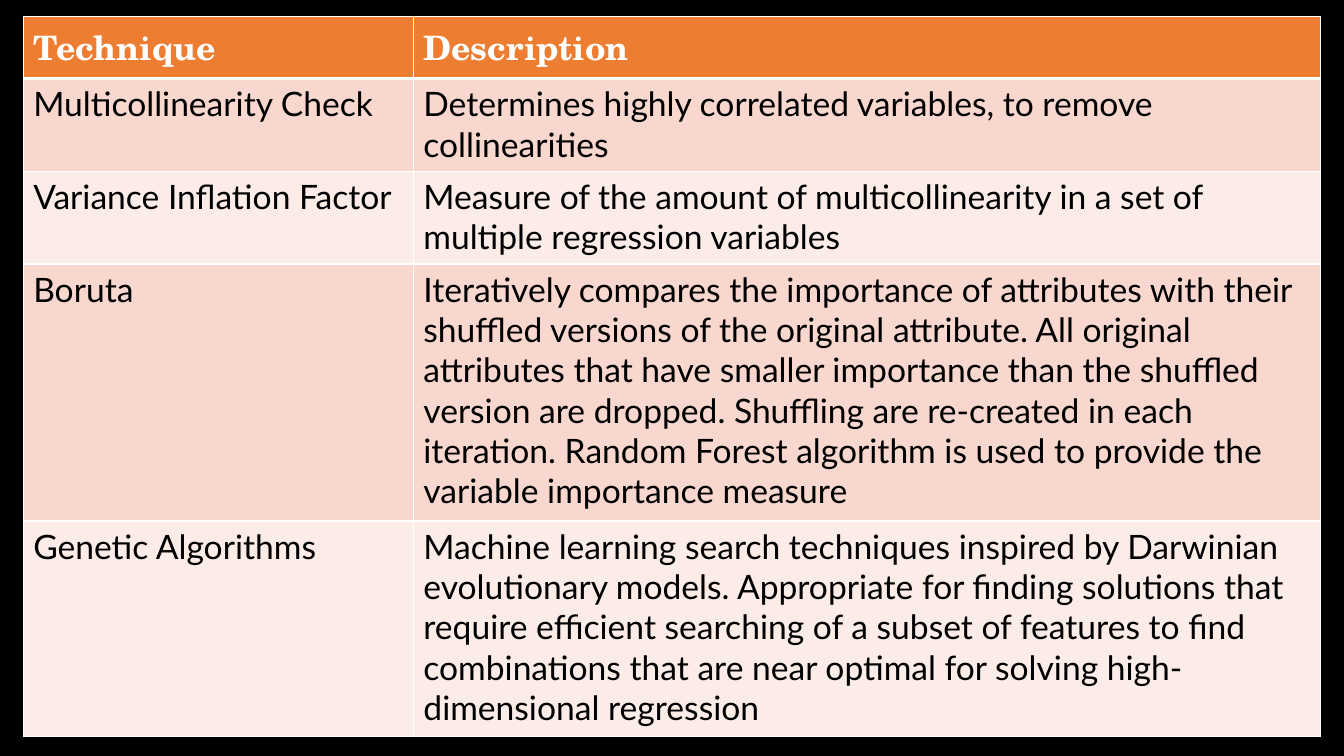
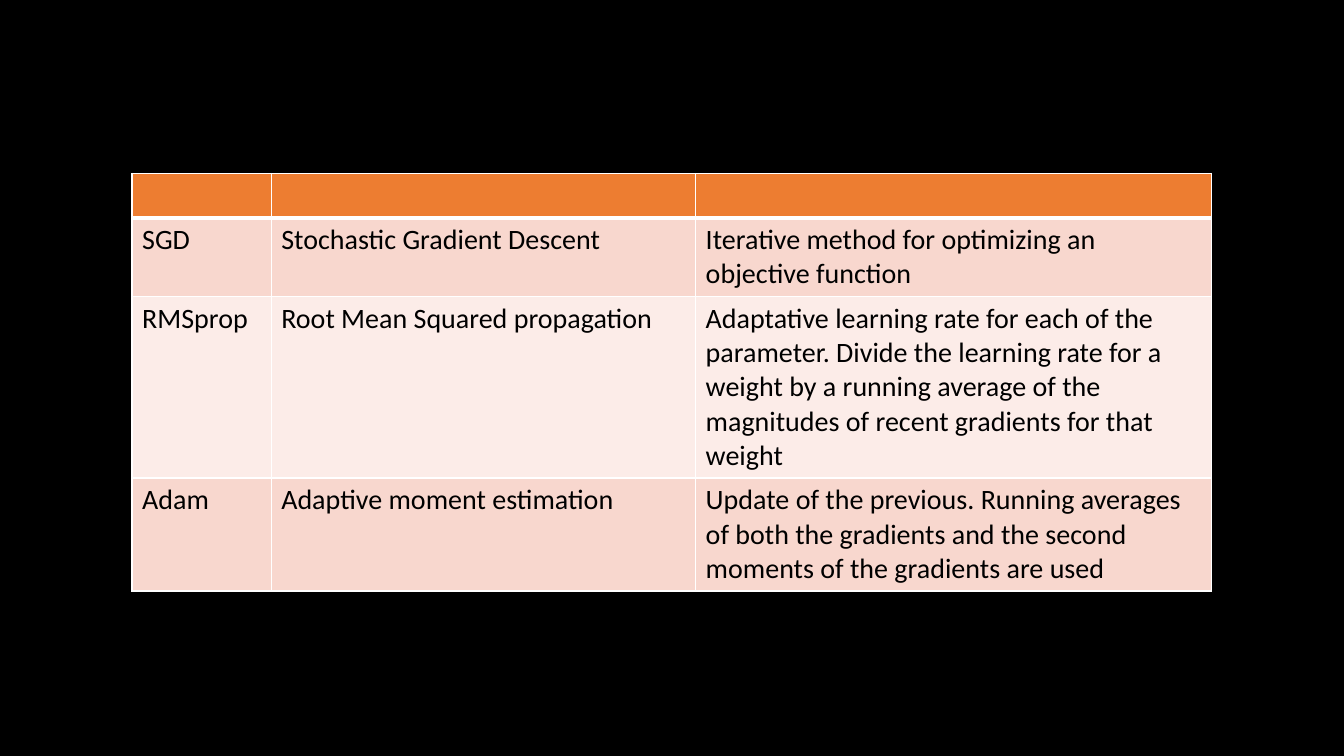
from dataclasses import dataclass

from lxml.etree import SubElement
from pptx import Presentation
from pptx.dml.color import RGBColor
from pptx.oxml.ns import qn
from pptx.presentation import Presentation as Deck
from pptx.table import _Cell
from pptx.util import Inches, Pt

COLORS = {
    "background": "000000",
    "header": "ED7D31",
    "band_dark": "F8D7CE",
    "band_light": "FCECE8",
    "border": "FFFFFF",
    "header_text": "FFFFFF",
    "body_text": "000000",
}
THIN, THICK = Pt(1), Pt(3)
HEADER_FONT = "TeX Gyre Schola"


@dataclass(frozen=True)
class TableSlide:
    left: float
    top: float
    col_widths: tuple[float, ...]
    row_heights: tuple[float, ...]
    font: str
    size: int
    rows: tuple[tuple[str, ...], ...]


TABLES = (
    TableSlide(
        left=0.23, top=0.16,
        col_widths=(3.87, 9), row_heights=(0.62, 0.92, 0.92, 2.55, 2.14),
        font="Lato", size=24,
        rows=(
            ("Technique", "Description"),
            ("Multicollinearity Check",
             "Determines highly correlated variables, to remove collinearities"),
            ("Variance Inflation Factor",
             "Measure of the amount of multicollinearity in a set of multiple "
             "regression variables"),
            ("Boruta",
             "Iteratively compares the importance of attributes with their shuffled "
             "versions of the original attribute. All original attributes that have "
             "smaller importance than the shuffled version are dropped. Shuffling are "
             "re-created in each iteration. Random Forest algorithm is used to provide "
             "the variable importance measure"),
            ("Genetic Algorithms",
             "Machine learning search techniques inspired by Darwinian evolutionary "
             "models. Appropriate for finding solutions that require efficient "
             "searching of a subset of features to find combinations that are near "
             "optimal for solving high-dimensional regression"),
        ),
    ),
    TableSlide(
        left=1.31, top=1.72,
        col_widths=(1.38, 4.21, 5.12), row_heights=(0.44, 0.78, 1.8, 1.12),
        font="Calibri", size=20,
        rows=(
            ("", "", ""),
            ("SGD", "Stochastic Gradient Descent",
             "Iterative method for optimizing an objective function"),
            ("RMSprop", "Root Mean Squared propagation",
             "Adaptative learning rate for each of the parameter. Divide the learning "
             "rate for a weight by a running average of the magnitudes of recent "
             "gradients for that weight"),
            ("Adam", "Adaptive moment estimation",
             "Update of the previous. Running averages of both the gradients and the "
             "second moments of the gradients are used"),
        ),
    ),
)


def rgb(name: str) -> RGBColor:
    return RGBColor.from_string(COLORS[name])


def set_borders(cell: _Cell, row: int) -> None:
    """Draw thin borders, with a thick rule between header and body."""
    tc_pr = cell._tc.get_or_add_tcPr()
    widths = {
        "a:lnL": THIN,
        "a:lnR": THIN,
        "a:lnT": THICK if row == 1 else THIN,
        "a:lnB": THICK if row == 0 else THIN,
    }
    for tag, width in widths.items():
        ln = SubElement(tc_pr, qn(tag), w=str(width))
        fill = SubElement(ln, qn("a:solidFill"))
        SubElement(fill, qn("a:srgbClr"), val=COLORS["border"])


def format_cell(cell: _Cell, row: int, text: str, table: TableSlide) -> None:
    is_header = row == 0
    set_borders(cell, row)
    cell.fill.solid()
    band = "band_dark" if row % 2 else "band_light"
    cell.fill.fore_color.rgb = rgb("header" if is_header else band)
    if not text:
        return
    p = cell.text_frame.paragraphs[0]
    p.text = text
    p.font.name = HEADER_FONT if is_header else table.font
    p.font.size = Pt(table.size)
    p.font.bold = is_header
    p.font.color.rgb = rgb("header_text" if is_header else "body_text")


def add_table_slide(prs: Deck, table: TableSlide) -> None:
    s = prs.slides.add_slide(prs.slide_layouts.get_by_name("Blank"))
    tbl = s.shapes.add_table(
        len(table.rows), len(table.col_widths),
        Inches(table.left), Inches(table.top),
        Inches(sum(table.col_widths)), Inches(sum(table.row_heights)),
    ).table
    tbl.horz_banding = False
    for column, width in zip(tbl.columns, table.col_widths):
        column.width = Inches(width)
    for i, (height, texts) in enumerate(zip(table.row_heights, table.rows)):
        tbl.rows[i].height = Inches(height)
        for j, text in enumerate(texts):
            format_cell(tbl.cell(i, j), i, text, table)


def main() -> None:
    prs = Presentation()
    prs.slide_width, prs.slide_height = Inches(13.33), Inches(7.5)
    background = prs.slide_master.background.fill
    background.solid()
    background.fore_color.rgb = rgb("background")
    for table in TABLES:
        add_table_slide(prs, table)
    prs.save("out.pptx")


if __name__ == "__main__":
    main()
